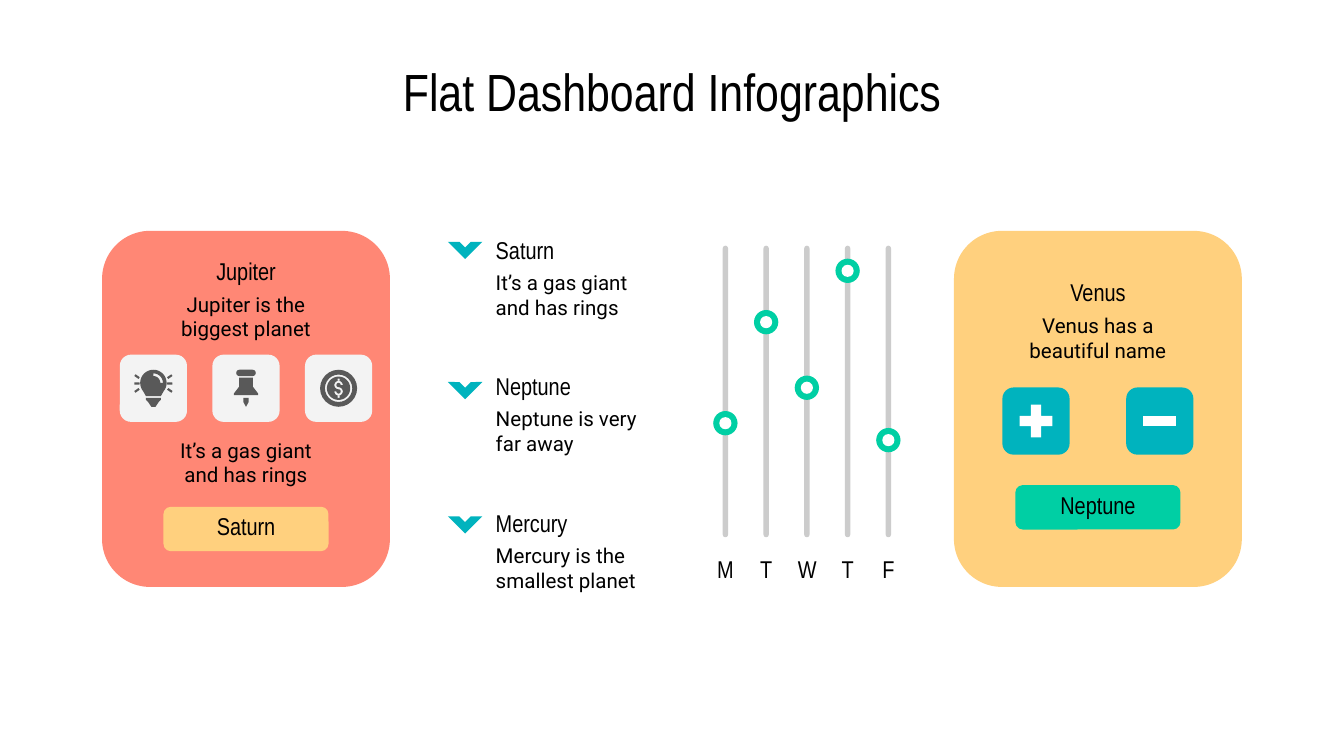
import math

import pptx
import pptx.dml.color
import pptx.enum.shapes
import pptx.enum.text
import pptx.util

Cm = pptx.util.Cm
RGBColor = pptx.dml.color.RGBColor
SHAPE = pptx.enum.shapes.MSO_SHAPE
ALIGN = pptx.enum.text.PP_ALIGN
ANCHOR = pptx.enum.text.MSO_ANCHOR

CORAL = RGBColor(0xFF, 0x87, 0x75)
YELLOW = RGBColor(0xFF, 0xD0, 0x7E)
TEAL = RGBColor(0x00, 0xB3, 0xBE)
GREEN = RGBColor(0x00, 0xCF, 0xA4)
TILE_GRAY = RGBColor(0xF3, 0xF3, 0xF3)
TRACK_GRAY = RGBColor(0xCC, 0xCC, 0xCC)
ICON_GRAY = RGBColor(0x59, 0x59, 0x59)
WHITE = RGBColor(0xFF, 0xFF, 0xFF)
BLACK = RGBColor(0x00, 0x00, 0x00)

HEADING_FONT = "Arial Narrow"
BODY_FONT = "Roboto"
TEXT_WIDTH = 3.38
TILE_SIZE = 1.27
JUPITER_X = 4.65
VENUS_X = 20.75


def paint(shape, color):
    shape.shadow.inherit = False
    shape.fill.solid()
    shape.fill.fore_color.rgb = color
    shape.line.fill.background()


def add_block(slide, kind, center_x, center_y, width, height, color, rotation=0):
    block = slide.shapes.add_shape(
        kind, Cm(center_x - width / 2), Cm(center_y - height / 2), Cm(width), Cm(height))
    paint(block, color)
    block.rotation = rotation
    return block


def add_outline(slide, center_x, center_y, contours, color=ICON_GRAY):
    """Fill closed contours given around a centre; inner contours become holes."""
    placed = [[(Cm(center_x + x), Cm(center_y + y)) for x, y in contour]
              for contour in contours]
    builder = slide.shapes.build_freeform(*placed[0][0])
    builder.add_line_segments(placed[0][1:], close=True)
    for contour in placed[1:]:
        builder.move_to(*contour[0])
        builder.add_line_segments(contour[1:], close=True)
    paint(builder.convert_to_shape(), color)


def arc(center_y, radius, start, end, steps=24):
    """Points of an arc centred on x = 0; degrees run clockwise from the right."""
    angles = [math.radians(start + (end - start) * i / steps) for i in range(steps + 1)]
    return [(radius * math.cos(a), center_y + radius * math.sin(a)) for a in angles]


def write(frame, text, font, size, align, anchor):
    frame.word_wrap = True
    frame.auto_size = pptx.enum.text.MSO_AUTO_SIZE.NONE
    frame.vertical_anchor = anchor
    frame.margin_left = frame.margin_right = Cm(0.25)
    frame.margin_top = frame.margin_bottom = Cm(0.25)
    paragraph = frame.paragraphs[0]
    paragraph.alignment = align
    run = paragraph.add_run()
    run.text = text
    run.font.name = font
    run.font.size = pptx.util.Pt(size)
    run.font.color.rgb = BLACK


def add_text(slide, center_x, top, width, height, text, font, size, align):
    box = slide.shapes.add_textbox(
        Cm(center_x - width / 2), Cm(top), Cm(width), Cm(height))
    write(box.text_frame, text, font, size, align, ANCHOR.MIDDLE)


def add_heading(slide, center_x, top, text, width=TEXT_WIDTH, align=ALIGN.CENTER):
    add_text(slide, center_x, top, width, 0.69, text, HEADING_FONT, 13, align)


def add_body(slide, center_x, top, text, align=ALIGN.CENTER):
    add_text(slide, center_x, top, TEXT_WIDTH, 1.22, text, BODY_FONT, 11, align)


def add_entry(slide, center_x, top, heading, body, align=ALIGN.CENTER):
    add_heading(slide, center_x, top, heading, align=align)
    add_body(slide, center_x, top + 0.59, body, align)


def add_panel(slide, center_x, color):
    add_block(slide, SHAPE.ROUNDED_RECTANGLE, center_x, 7.73, 5.44, 6.73, color)


def add_tile(slide, center_x, center_y, color):
    add_block(slide, SHAPE.ROUNDED_RECTANGLE, center_x, center_y,
              TILE_SIZE, TILE_SIZE, color)


def add_button(slide, center_x, center_y, text, color, label_width=TEXT_WIDTH):
    add_block(slide, SHAPE.ROUNDED_RECTANGLE, center_x, center_y, 3.12, 0.84, color)
    add_heading(slide, center_x, center_y - 0.4, text, label_width)


def add_bulb_icon(slide, x, y):
    globe = arc(-0.1, 0.25, 140, 400) + [(0.14, 0.15), (-0.14, 0.15)]
    highlight = arc(-0.1, 0.18, -90, 0) + arc(-0.1, 0.13, 0, -90)
    base = [(-0.14, 0.18), (0.14, 0.18), (0.14, 0.22), (0.1, 0.26),
            (0.04, 0.35), (-0.04, 0.35), (-0.1, 0.26), (-0.14, 0.22)]
    add_outline(slide, x, y, [globe, highlight])
    add_outline(slide, x, y, [base])
    for side in (-1, 1):
        for ray_y, tilt in ((-0.22, -35), (-0.09, 0), (0.04, 35)):
            add_block(slide, SHAPE.ROUNDED_RECTANGLE, x + side * 0.31, y + ray_y,
                      0.1, 0.04, ICON_GRAY, side * tilt)


def add_pin_icon(slide, x, y):
    head = add_block(slide, SHAPE.ROUNDED_RECTANGLE, x, y - 0.29, 0.37, 0.12, ICON_GRAY)
    head.adjustments[0] = 0.5
    body = [(-0.13, -0.2), (0.13, -0.2), (0.13, -0.03), (0.23, 0.1),
            (0.23, 0.13), (-0.23, 0.13), (-0.23, 0.1), (-0.13, -0.03)]
    needle = [(-0.05, 0.18), (0.05, 0.18), (0.05, 0.26), (0, 0.35), (-0.05, 0.26)]
    add_outline(slide, x, y, [body])
    add_outline(slide, x, y, [needle])


def add_coin_icon(slide, x, y):
    rim = add_block(slide, SHAPE.DONUT, x, y, 0.7, 0.7, ICON_GRAY)
    rim.adjustments[0] = 0.13
    dollar_curve = (arc(-0.06, 0.08, 0, -270) + arc(0.06, 0.04, -90, 180)
                    + arc(0.06, 0.08, 180, -90) + arc(-0.06, 0.04, -270, 0))
    dollar_ends = [[(-0.02, y1), (0.02, y1), (0.02, y2), (-0.02, y2)]
                   for y1, y2 in ((-0.18, -0.14), (0.14, 0.18))]
    add_outline(slide, x, y, [arc(0, 0.22, 0, 360, 48), dollar_curve] + dollar_ends)


def add_jupiter_panel(slide):
    add_panel(slide, JUPITER_X, CORAL)
    add_entry(slide, JUPITER_X, 4.78, "Jupiter", "Jupiter is the biggest planet")
    for column, add_icon in enumerate((add_bulb_icon, add_pin_icon, add_coin_icon), -1):
        tile_x = JUPITER_X + column * 1.75
        add_tile(slide, tile_x, 7.34, TILE_GRAY)
        add_icon(slide, tile_x, 7.34)
    add_body(slide, JUPITER_X, 8.13, "It’s a gas giant and has rings")
    add_button(slide, JUPITER_X, 10, "Saturn", YELLOW)


def add_venus_panel(slide):
    add_panel(slide, VENUS_X, YELLOW)
    add_entry(slide, VENUS_X, 5.18, "Venus", "Venus has a beautiful name")
    for side, sign in ((-1, SHAPE.MATH_PLUS), (1, SHAPE.MATH_MINUS)):
        tile_x = VENUS_X + side * 1.17
        add_tile(slide, tile_x, 7.96, TEAL)
        add_block(slide, sign, tile_x, 7.96, 0.84, 0.84, WHITE)
    add_button(slide, VENUS_X, 9.59, "Neptune", GREEN, 2.08)


def add_planet_list(slide):
    planets = (("Saturn", "It’s a gas giant and has rings", 4.57),
               ("Neptune", "Neptune is very far away", 7.22),
               ("Mercury", "Mercury is the smallest planet", 9.76))
    for row, (name, fact, chevron_y) in enumerate(planets):
        add_entry(slide, 10.81, 4.37 + row * 2.58, name, fact, ALIGN.LEFT)
        add_block(slide, SHAPE.HALF_FRAME, 8.79, chevron_y, 0.46, 0.46, TEAL, 225)


def add_day_sliders(slide):
    days = (("M", 8), ("T", 6.09), ("W", 7.33), ("T", 5.12), ("F", 8.32))
    for column, (day, knob_y) in enumerate(days):
        x = 13.71 + column * 0.77
        track = add_block(slide, SHAPE.ROUNDED_RECTANGLE, x, 7.4, 0.1, 5.51, TRACK_GRAY)
        track.adjustments[0] = 0.5
        add_block(slide, SHAPE.OVAL, x, knob_y, 0.46, 0.46, GREEN)
        add_block(slide, SHAPE.OVAL, x, knob_y, 0.23, 0.23, WHITE)
        add_heading(slide, x, 10.41, day, 0.84)


def set_title(slide, text):
    title = slide.shapes.title
    title.left, title.top, title.width, title.height = Cm(1.14), Cm(0.87), Cm(23.11), Cm(1.6)
    write(title.text_frame, text, HEADING_FONT, 28, ALIGN.CENTER, ANCHOR.TOP)


def main():
    deck = pptx.Presentation()
    deck.slide_width, deck.slide_height = Cm(25.4), Cm(14.29)
    slide = deck.slides.add_slide(deck.slide_layouts.get_by_name("Title Only"))
    set_title(slide, "Flat Dashboard Infographics")
    add_jupiter_panel(slide)
    add_planet_list(slide)
    add_day_sliders(slide)
    add_venus_panel(slide)
    deck.save("out.pptx")


if __name__ == "__main__":
    main()
